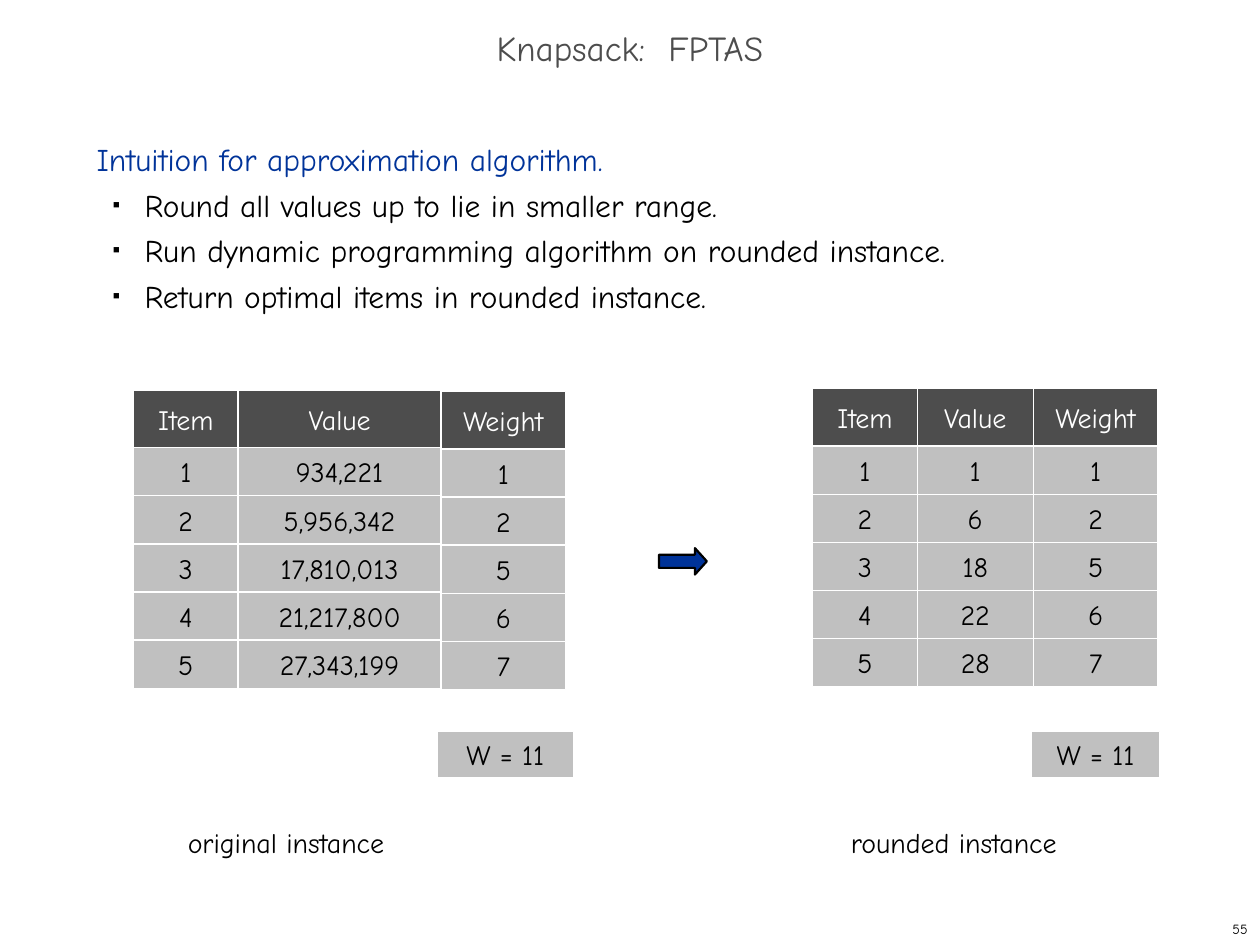
from itertools import accumulate
from lxml.etree import SubElement
from pptx import Presentation
from pptx.dml.color import RGBColor
from pptx.enum.shapes import MSO_SHAPE as Shape
from pptx.enum.text import MSO_ANCHOR as Anchor, MSO_AUTO_SIZE as Fit, PP_ALIGN as Align
from pptx.oxml.ns import qn
from pptx.util import Inches, Pt

FONT = "Comic Neue"
BLACK, WHITE, BLUE, DARK, GREY = "000000", "FFFFFF", "003399", "4D4D4D", "C0C0C0"
colour = RGBColor.from_string

deck = Presentation()
deck.slide_width, deck.slide_height = Inches(10), Inches(7.5)
page = deck.slides.add_slide(deck.slide_layouts[1])


def draw(kind, place, fill, line, width):
    """Add a shape placed on a grid of 100 columns by 75 rows."""
    shape = page.shapes.add_shape(kind, *[Inches(length / 10) for length in place])
    shape.shadow.inherit = False
    shape.fill.solid()
    shape.fill.fore_color.rgb = colour(fill)
    shape.line.color.rgb = colour(line)
    shape.line.width = Pt(width)
    return shape


def write(para, text, size, ink, **layout):
    """Fill a paragraph with one span of text and set its layout values."""
    for name, value in layout.items():
        setattr(para, name, value)
    span = para.add_run()
    span.text = text
    for name, value in {"name": FONT, "size": Pt(size)}.items():
        setattr(span.font, name, value)
    span.font.color.rgb = colour(ink)


# Title and bulleted list
title, body = page.placeholders
for box, place in ((title, (0, 1.7, 100, 5)), (body, (6.67, 10.03, 85.8, 59.2))):
    box.left, box.top, box.width, box.height = [Inches(length / 10) for length in place]
    box.text_frame.auto_size = Fit.NONE
write(title.text_frame.paragraphs[0], "Knapsack:  FPTAS", 20, DARK,
      alignment=Align.CENTER, line_spacing=0.7)

list_lines = [
    "Intuition for approximation algorithm.",
    "Round all values up to lie in smaller range.",
    "Run dynamic programming algorithm on rounded instance.",
    "Return optimal items in rounded instance.",
]
for number, line in enumerate(list_lines):
    para = body.text_frame.add_paragraph() if number else body.text_frame.paragraphs[0]
    props = para._p.get_or_add_pPr()
    if number:
        para.level = 1
        props.set("marL", str(Inches(0.38)))
        props.set("indent", str(Inches(-0.25)))
        SubElement(SubElement(props, qn("a:buClr")), qn("a:srgbClr"), val=BLACK)
        SubElement(props, qn("a:buSzPct"), val="35000")
        SubElement(props, qn("a:buChar"), char="■")
    else:
        props.set("marL", "0")
        props.set("indent", "0")
        SubElement(props, qn("a:buNone"))
    write(para, line, 18, BLACK if number else BLUE,
          line_spacing=Pt(26), space_before=Pt(0))

# Original and rounded instance, each a grid of cells with its capacity and caption
items = ["Item", "1", "2", "3", "4", "5"]
weights = ["Weight", "1", "2", "5", "6", "7"]
row_heights = [4.56] + [3.82] * 5
instances = [
    {"name": "original instance", "left": 10.6, "widths": (8.3, 16.1, 9.9),
     "tops": (30.97, 30.97, 31.07),
     "values": ["Value", "934,221", "5,956,342", "17,810,013", "21,217,800", "27,343,199"],
     "capacity": (34.7, 58.05, 10.8, 3.7), "caption": (10.6, 65, 24.2, 3.7)},
    {"name": "rounded instance", "left": 64.5, "widths": (8.3, 9.2, 9.9),
     "tops": (30.85, 30.85, 30.85),
     "values": ["Value", "1", "6", "18", "22", "28"],
     "capacity": (81.85, 58.05, 10.2, 3.7), "caption": (63.6, 65, 24.2, 3.7)},
]

for instance in instances:
    widths = instance["widths"]
    lefts = accumulate(widths, initial=instance["left"])
    columns = (items, instance["values"], weights)
    for left, width, top, column in zip(lefts, widths, instance["tops"], columns):
        row_tops = accumulate(row_heights, initial=top)
        for row, (row_top, height, entry) in enumerate(zip(row_tops, row_heights, column)):
            cell = draw(Shape.RECTANGLE, (left, row_top, width, height),
                        GREY if row else DARK, WHITE, 0.75)
            cell.text_frame.word_wrap = False
            cell.text_frame.vertical_anchor = Anchor.MIDDLE
            write(cell.text_frame.paragraphs[0], entry, 16, BLACK if row else WHITE,
                  alignment=Align.CENTER)

    capacity = draw(Shape.RECTANGLE, instance["capacity"], GREY, WHITE, 0.75)
    caption = page.shapes.add_textbox(*[Inches(length / 10) for length in instance["caption"]])
    for box, text in ((capacity, "W = 11"), (caption, instance["name"])):
        box.text_frame.word_wrap = True
        box.text_frame.vertical_anchor = Anchor.TOP
        write(box.text_frame.paragraphs[0], text, 16, BLACK, alignment=Align.CENTER)

# Arrow between the instances
arrow = draw(Shape.RIGHT_ARROW, (52.3, 43.5, 3.8, 2.1), BLUE, BLACK, 1.25)
arrow.adjustments[0], arrow.adjustments[1] = 0.5, 0.45

# Page number
page_number = page.shapes.add_textbox(
    *[Inches(length / 10) for length in (79.2, 72.5, 20.8, 2.5)])
page_number.text_frame.word_wrap = True
page_number.text_frame.vertical_anchor = Anchor.MIDDLE
write(page_number.text_frame.paragraphs[0], "55", 8, BLACK, alignment=Align.RIGHT)

deck.save("out.pptx")
